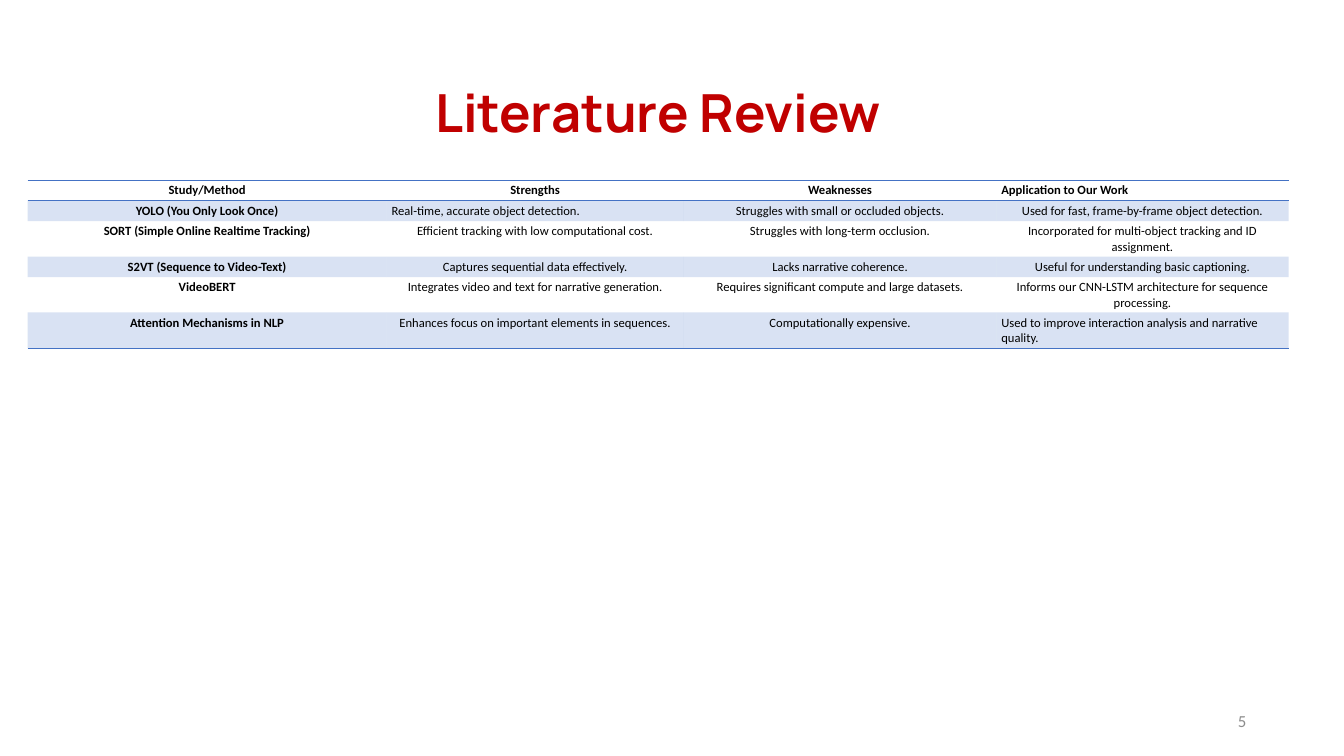
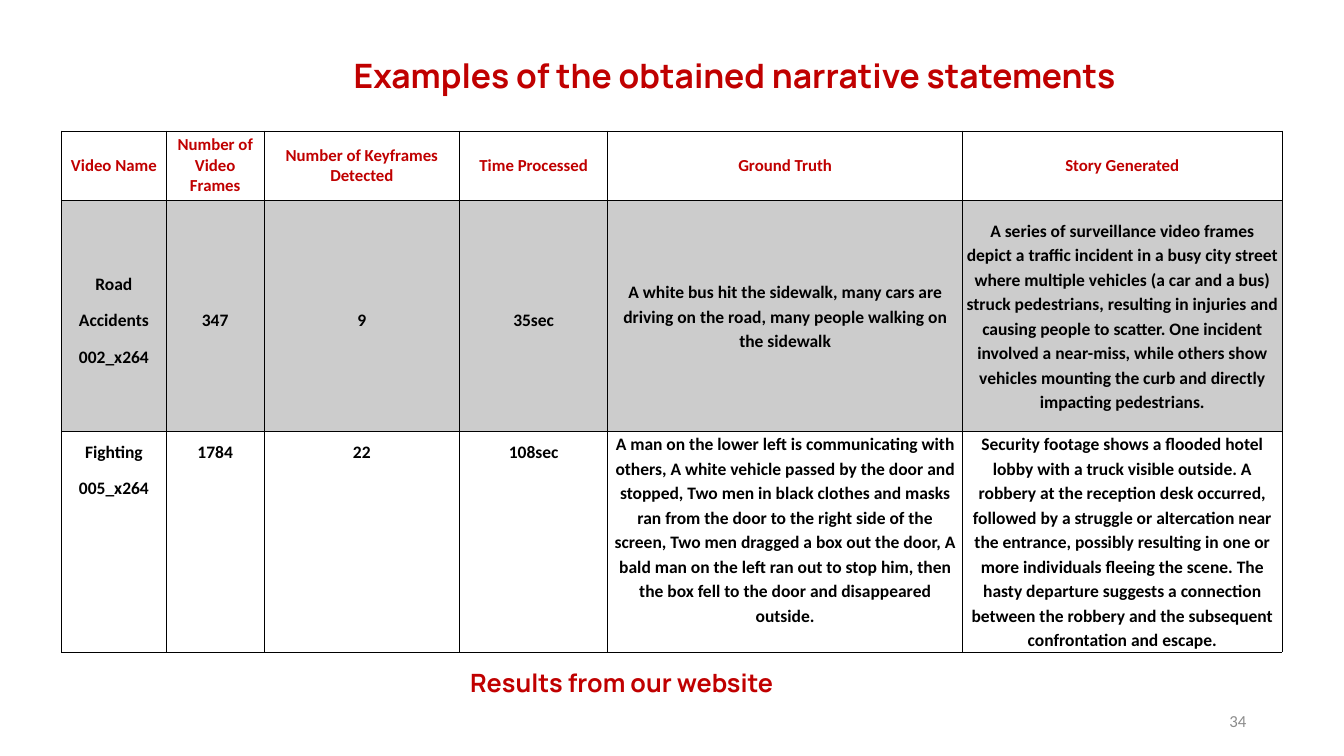
from lxml import etree
from pptx import Presentation
from pptx.dml.color import RGBColor
from pptx.enum.text import MSO_ANCHOR, PP_ALIGN
from pptx.oxml.ns import qn
from pptx.util import Inches, Pt

RED, BLUE, BLACK, GREY = "C00000", "4472C4", "000000", "8C8C8C"
HEADING_FONT, BODY_FONT = "Manrope", "Calibri"
PLAIN_TABLE_STYLE = "{2D5ABB26-0587-4C30-8999-92F81FD0307C}"

REVIEW_AT = (0.55, 3.57)
REVIEW_COLUMNS = (7.12, 5.9, 6.2, 5.8)
REVIEW_HEIGHTS = (0.41,) * 6
REVIEW_LEFT_CELLS = {(0, 3), (1, 1), (5, 3)}
REVIEW_ROWS = [
    ("Study/Method", "Strengths", "Weaknesses", "Application to Our Work"),
    ("YOLO (You Only Look Once)", "Real-time, accurate object detection.",
     "Struggles with small or occluded objects.",
     "Used for fast, frame-by-frame object detection."),
    ("SORT (Simple Online Realtime Tracking)",
     "Efficient tracking with low computational cost.",
     "Struggles with long-term occlusion.",
     "Incorporated for multi-object tracking and ID assignment."),
    ("S2VT (Sequence to Video-Text)", "Captures sequential data effectively.",
     "Lacks narrative coherence.", "Useful for understanding basic captioning."),
    ("VideoBERT", "Integrates video and text for narrative generation.",
     "Requires significant compute and large datasets.",
     "Informs our CNN-LSTM architecture for sequence processing."),
    ("Attention Mechanisms in NLP",
     "Enhances focus on important elements in sequences.",
     "Computationally expensive.",
     "Used to improve interaction analysis and narrative quality."),
]

STORY_AT = (1.22, 2.6)
STORY_COLUMNS = (2.08, 1.94, 3.88, 2.94, 7.04, 6.34)
STORY_HEIGHTS = (1.37, 4.58, 4.39)
STORY_ROWS = [
    ("Video Name", "Number of Video Frames", "Number of Keyframes Detected",
     "Time Processed", "Ground Truth", "Story Generated"),
    ("Road\nAccidents\n002_x264", "347", "9", "35sec",
     "A white bus hit the sidewalk, many cars are driving on the road, many "
     "people walking on the sidewalk",
     "A series of surveillance video frames depict a traffic incident in a busy "
     "city street where multiple vehicles (a car and a bus) struck pedestrians, "
     "resulting in injuries and causing people to scatter. One incident involved "
     "a near-miss, while others show vehicles mounting the curb and directly "
     "impacting pedestrians."),
    ("Fighting\n005_x264", "1784", "22", "108sec",
     "A man on the lower left is communicating with others, A white vehicle "
     "passed by the door and stopped, Two men in black clothes and masks ran from "
     "the door to the right side of the screen, Two men dragged a box out the "
     "door, A bald man on the left ran out to stop him, then the box fell to the "
     "door and disappeared outside.",
     "Security footage shows a flooded hotel lobby with a truck visible outside. "
     "A robbery at the reception desk occurred, followed by a struggle or "
     "altercation near the entrance, possibly resulting in one or more "
     "individuals fleeing the scene. The hasty departure suggests a connection "
     "between the robbery and the subsequent confrontation and escape."),
]


def color(value):
    return RGBColor.from_string(value)


def write(frame, text, size, font, ink, bold=False, align=PP_ALIGN.LEFT,
          line_spacing=1.0, gap=0):
    frame.text = text
    for index, paragraph in enumerate(frame.paragraphs):
        paragraph.alignment = align
        paragraph.line_spacing = line_spacing
        paragraph.space_before = Pt(gap if index else 0)
        for span in paragraph.runs:
            span.font.size = Pt(size)
            span.font.name = font
            span.font.bold = bold
            span.font.color.rgb = color(ink)


def add_text(page, place, text, size, font=HEADING_FONT, ink=RED, bold=True,
             anchor=MSO_ANCHOR.TOP, **style):
    box = page.shapes.add_textbox(*map(Inches, place))
    box.text_frame.word_wrap = True
    box.text_frame.vertical_anchor = anchor
    write(box.text_frame, text, size, font, ink, bold, **style)


def add_page_number(page, number):
    add_text(page, (18.83, 13.9, 6, 0.8), number, 24, BODY_FONT, GREY, False,
             MSO_ANCHOR.MIDDLE, align=PP_ALIGN.RIGHT)


def add_table(page, place, columns, heights):
    size = (sum(columns), sum(heights))
    frame = page.shapes.add_table(len(heights), len(columns),
                                  *map(Inches, place + size))
    table = frame.table
    table.first_row = table.horz_banding = False
    table._tbl.tblPr.find(qn("a:tableStyleId")).text = PLAIN_TABLE_STYLE
    for column, width in zip(table.columns, columns):
        column.width = Inches(width)
    for row, height in zip(table.rows, heights):
        row.height = Inches(height)
    return table


def paint(cell, tint, sides, line):
    if tint:
        cell.fill.solid()
        cell.fill.fore_color.rgb = color(tint)
    else:
        cell.fill.background()
    properties = cell._tc.get_or_add_tcPr()
    if tint:
        shade = properties.find(".//" + qn("a:srgbClr"))
        etree.SubElement(shade, qn("a:alpha"), val="20000")
    for position, side in enumerate(sides):
        border = etree.Element(qn("a:ln" + side), w=str(Pt(1)))
        fill = etree.SubElement(border, qn("a:solidFill"))
        etree.SubElement(fill, qn("a:srgbClr"), val=line)
        properties.insert(position, border)


def add_review_table(page):
    table = add_table(page, REVIEW_AT, REVIEW_COLUMNS, REVIEW_HEIGHTS)
    borders = {0: "TB", len(REVIEW_ROWS) - 1: "B"}
    for row, texts in enumerate(REVIEW_ROWS):
        for column, text in enumerate(texts):
            cell = table.cell(row, column)
            left = (row, column) in REVIEW_LEFT_CELLS
            write(cell.text_frame, text, 18, BODY_FONT, BLACK,
                  bold=row == 0 or column == 0,
                  align=PP_ALIGN.LEFT if left else PP_ALIGN.CENTER)
            paint(cell, BLUE if row % 2 else None, borders.get(row, ""), BLUE)


def add_story_table(page):
    table = add_table(page, STORY_AT, STORY_COLUMNS, STORY_HEIGHTS)
    for row, texts in enumerate(STORY_ROWS):
        for column, text in enumerate(texts):
            cell = table.cell(row, column)
            cell.margin_left = cell.margin_right = Inches(0.07)
            cell.margin_top = cell.margin_bottom = 0
            cell.vertical_anchor = MSO_ANCHOR.TOP if row == 2 else MSO_ANCHOR.MIDDLE
            size, ink = (25, BLACK) if row else (24, RED)
            spacing = 1 if row == 0 else 1.5 if column < 4 else 1.15
            write(cell.text_frame, text, size, BODY_FONT, ink, True,
                  PP_ALIGN.CENTER, spacing, 6.5)
            paint(cell, BLACK if row == 1 else None, "LRTB", BLACK)


def main():
    deck = Presentation()
    deck.slide_width, deck.slide_height = Inches(26.67), Inches(15)
    blank = deck.slide_layouts[6]

    review = deck.slides.add_slide(blank)
    add_text(review, (1.56, 1.69, 23, 1.21), "Literature Review", 75,
             anchor=MSO_ANCHOR.MIDDLE, align=PP_ALIGN.CENTER, line_spacing=0.9)
    add_page_number(review, "5")
    add_review_table(review)

    stories = deck.slides.add_slide(blank)
    add_page_number(stories, "34")
    add_text(stories, (6.92, 1.05, 17.59, 0.91),
             "Examples of the obtained narrative statements", 48)
    add_story_table(stories)
    add_text(stories, (9.23, 13.2, 8.21, 0.71), "Results from our website", 36)

    deck.save("out.pptx")


if __name__ == "__main__":
    main()
